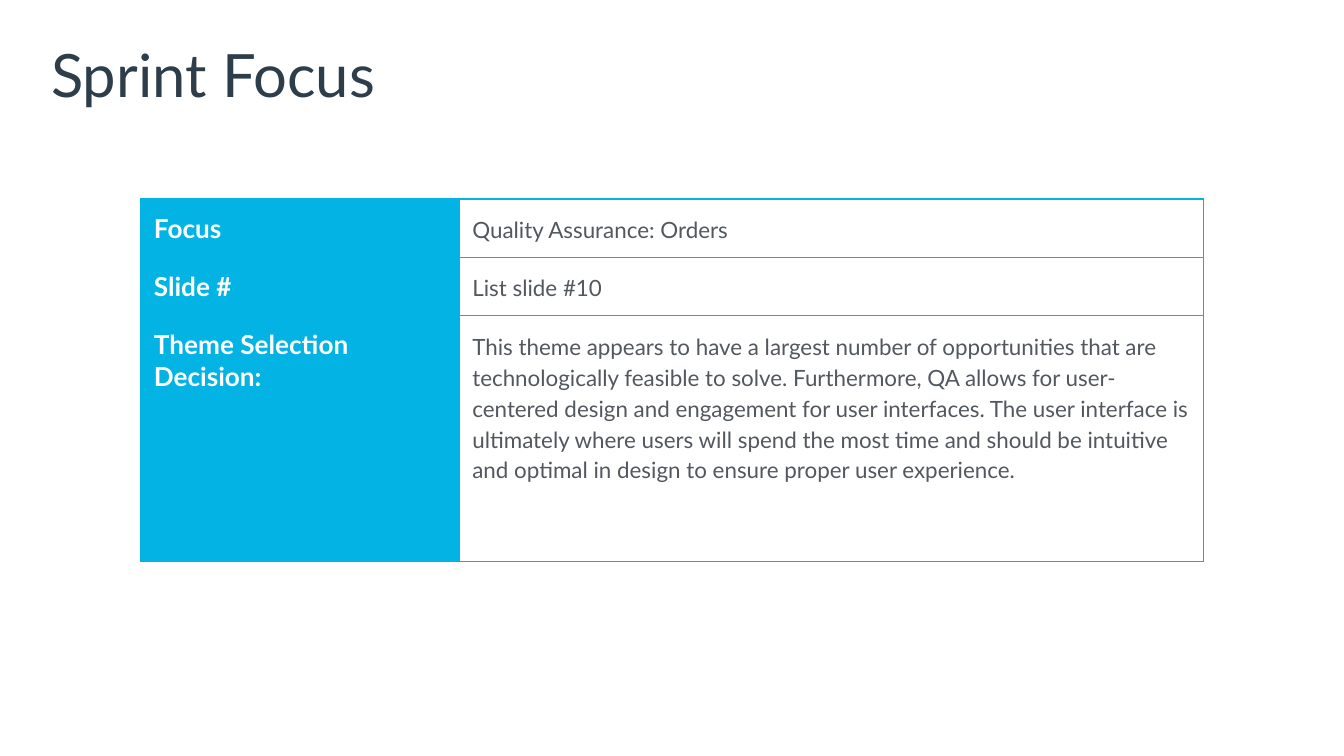
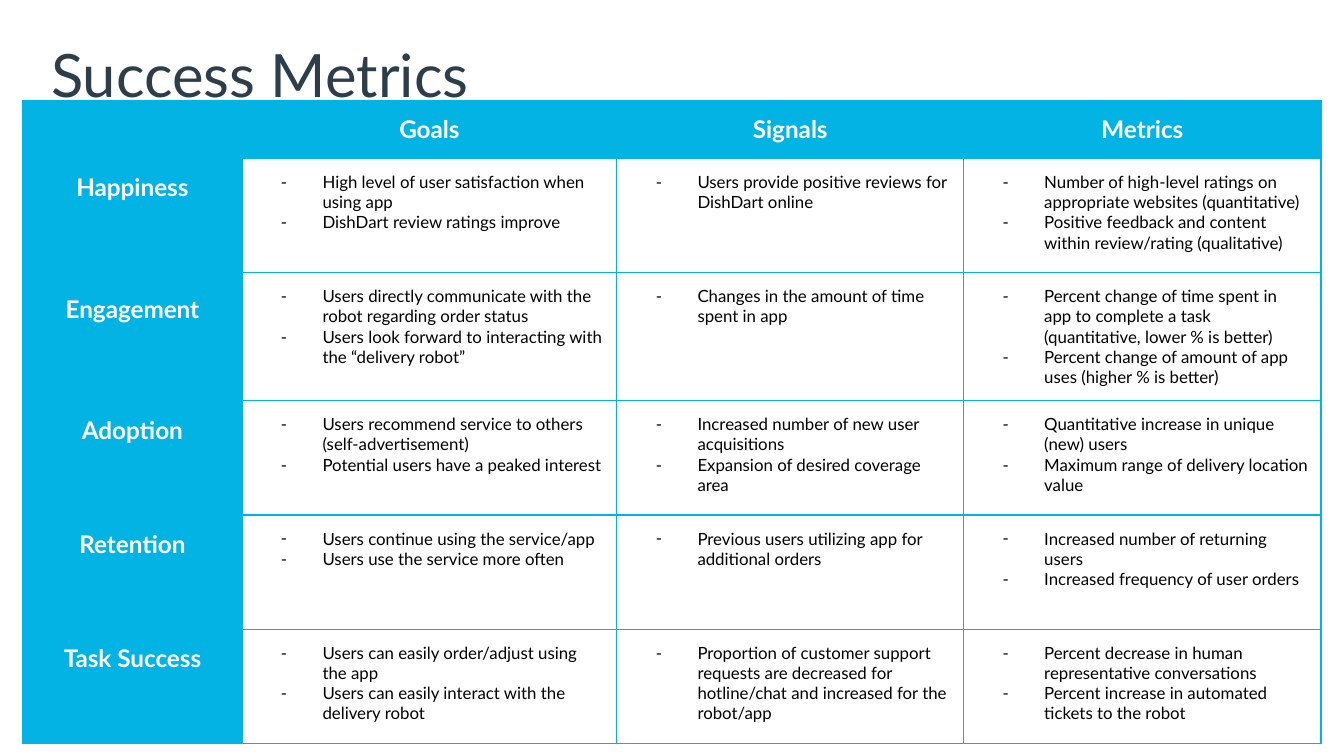
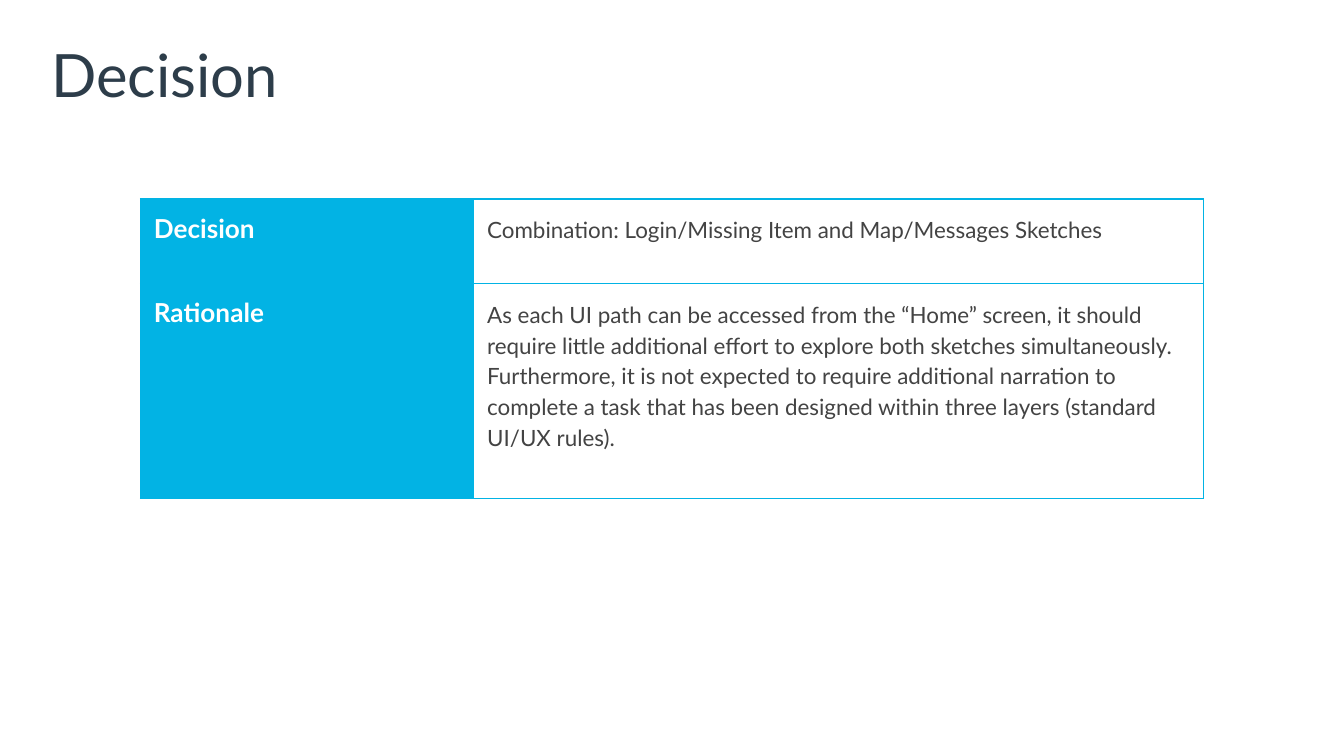
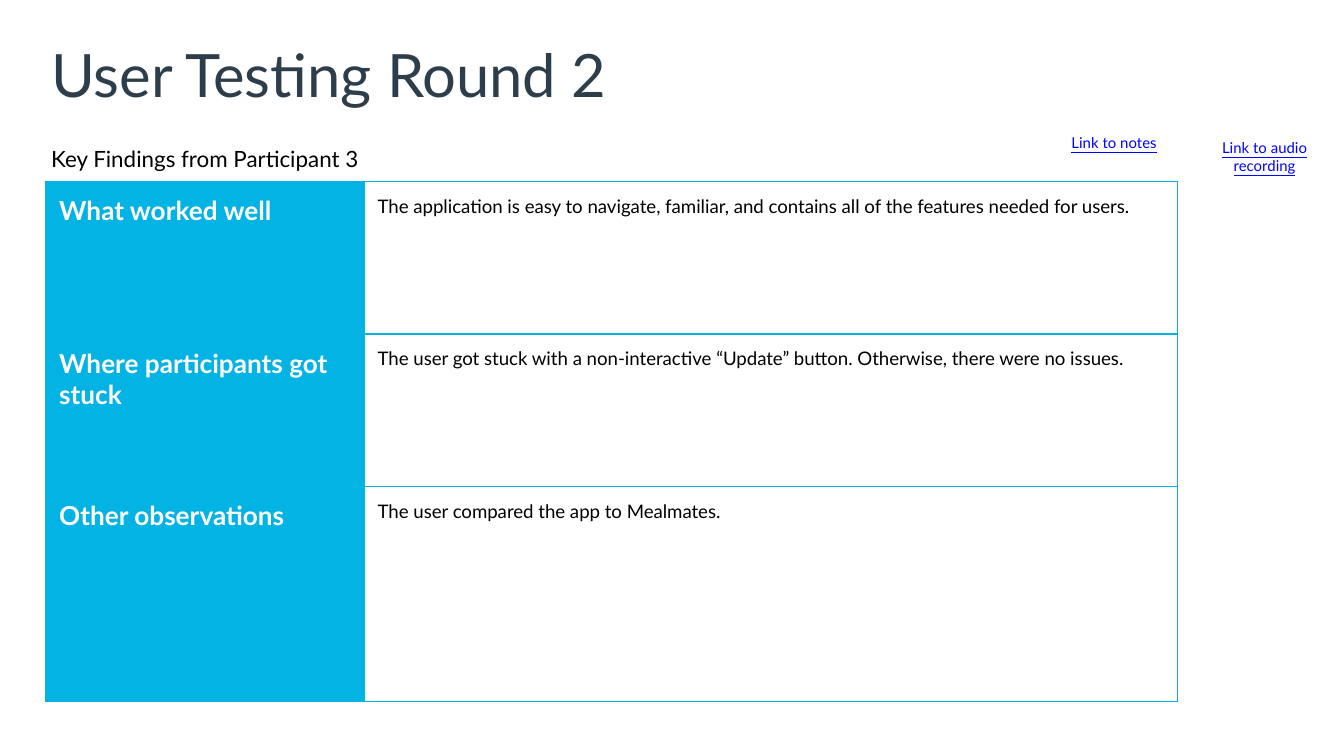
"""Builds four slides of a design sprint report, each with a title and a table."""
from dataclasses import dataclass

import lxml.etree
import pptx
import pptx.dml.color
import pptx.enum.text
import pptx.oxml.ns
import pptx.util

RGBColor = pptx.dml.color.RGBColor
ALIGN = pptx.enum.text.PP_ALIGN
ANCHOR = pptx.enum.text.MSO_ANCHOR
qn = pptx.oxml.ns.qn

WHITE = RGBColor(0xFF, 0xFF, 0xFF)
BLACK = RGBColor(0x00, 0x00, 0x00)
CYAN = RGBColor(0x02, 0xB3, 0xE4)
NAVY = RGBColor(0x2D, 0x3D, 0x4A)
SLATE = RGBColor(0x53, 0x58, 0x5F)
CHARCOAL = RGBColor(0x43, 0x43, 0x43)
LINK_BLUE = RGBColor(0x00, 0x00, 0xFF)

FONT = "Lato"
GRID_COLUMNS, GRID_ROWS = 100, 56.25
UNIT = pptx.util.Inches(0.1)
BORDER = pptx.util.Pt(0.75)
TIGHT, ROOMY = 0.4, 1
LABEL_STYLE = dict(size=14, color=WHITE, bold=True)
HEADING_STYLE = dict(size=13, color=WHITE, bold=True, align=ALIGN.CENTER)
BULLET_STYLE = dict(size=9, bullet="-")
READING_STYLE = dict(size=12, line_spacing=1.15, space_before=7)

FOCUS_ROWS = [
    ("Focus", "Quality Assurance: Orders"),
    ("Slide #", "List slide #10"),
    ("Theme Selection Decision:",
     "This theme appears to have a largest number of opportunities that are "
     "technologically feasible to solve. Furthermore, QA allows for user-centered design "
     "and engagement for user interfaces. The user interface is ultimately where users will "
     "spend the most time and should be intuitive and optimal in design to ensure proper "
     "user experience."),
]
METRIC_HEADINGS = ["", "Goals", "Signals", "Metrics"]
METRIC_ROWS = [
    ("Happiness",
     ["High level of user satisfaction when using app", "DishDart review ratings improve"],
     ["Users provide positive reviews for DishDart online"],
     ["Number of high-level ratings on appropriate websites (quantitative)",
      "Positive feedback and content within review/rating (qualitative)"]),
    ("Engagement",
     ["Users directly communicate with the robot regarding order status",
      "Users look forward to interacting with the “delivery robot”"],
     ["Changes in the amount of time spent in app"],
     ["Percent change of time spent in app to complete a task "
      "(quantitative, lower % is better)",
      "Percent change of amount of app uses (higher % is better)"]),
    ("Adoption",
     ["Users recommend service to others (self-advertisement)",
      "Potential users have a peaked interest"],
     ["Increased number of new user acquisitions", "Expansion of desired coverage area"],
     ["Quantitative increase in unique (new) users",
      "Maximum range of delivery location value"]),
    ("Retention",
     ["Users continue using the service/app", "Users use the service more often"],
     ["Previous users utilizing app for additional orders"],
     ["Increased number of returning users", "Increased frequency of user orders"]),
    ("Task Success",
     ["Users can easily order/adjust using the app",
      "Users can easily interact with the delivery robot"],
     ["Proportion of customer support requests are decreased for hotline/chat and "
      "increased for the robot/app"],
     ["Percent decrease in human representative conversations",
      "Percent increase in automated tickets to the robot"]),
]
DECISION_ROWS = [
    ("Decision", "Combination: Login/Missing Item and Map/Messages Sketches"),
    ("Rationale",
     "As each UI path can be accessed from the “Home” screen, it should require little "
     "additional effort to explore both sketches simultaneously. Furthermore, it is not "
     "expected to require additional narration to complete a task that has been designed "
     "within three layers (standard UI/UX rules)."),
]
FINDING_ROWS = [
    ("What worked well",
     "The application is easy to navigate, familiar, and contains all of the features "
     "needed for users."),
    ("Where participants got stuck",
     "The user got stuck with a non-interactive “Update” button. Otherwise, there were "
     "no issues."),
    ("Other observations", "The user compared the app to Mealmates."),
]


@dataclass
class Box:
    """A region in grid columns and rows."""
    left: float
    top: float
    width: float
    height: float


TITLE_BOX = Box(3.4, 2.4, 93.2, 6.3)
CARD_COLUMNS = 79.1


def grid(count):
    """Turn grid columns or rows into a length."""
    return pptx.util.Emu(round(count * UNIT))


def set_margins(holder, margin):
    """Give a text frame or cell the same margin on all sides."""
    for side in ("left", "top", "right", "bottom"):
        setattr(holder, f"margin_{side}", grid(margin))


def write_text(frame, text, size=12, color=BLACK, bold=False, underline=False,
               align=ALIGN.LEFT, line_spacing=None, space_before=None, bullet=None):
    """Fill a text frame with one paragraph, or with one for each item of a list."""
    for index, line in enumerate([text] if isinstance(text, str) else text):
        para = frame.add_paragraph() if index else frame.paragraphs[0]
        para.alignment = align
        if line_spacing:
            para.line_spacing = line_spacing
        if space_before:
            para.space_before = pptx.util.Pt(space_before)
        if bullet:
            add_bullet(para, bullet)
        if not line:
            lxml.etree.SubElement(para._p, qn("a:endParaRPr"), sz=str(size * 100))
            continue
        span = para.add_run()
        span.text = line
        span.font.name = FONT
        span.font.size = pptx.util.Pt(size)
        span.font.color.rgb = color
        span.font.bold = bold
        span.font.underline = underline


def add_bullet(para, mark):
    """Give a paragraph a hanging bullet."""
    properties = para._p.get_or_add_pPr()
    properties.set("marL", str(grid(5)))
    properties.set("indent", str(grid(-3.1)))
    tint = lxml.etree.SubElement(properties, qn("a:buClr"))
    lxml.etree.SubElement(tint, qn("a:srgbClr"), val=str(BLACK))
    lxml.etree.SubElement(properties, qn("a:buFont"), typeface=FONT)
    lxml.etree.SubElement(properties, qn("a:buChar"), char=mark)


def add_text(page, box, text, margin=TIGHT, **style):
    """Place a wrapped text box."""
    shape = page.shapes.add_textbox(*map(grid, (box.left, box.top, box.width, box.height)))
    shape.text_frame.word_wrap = True
    set_margins(shape.text_frame, margin)
    write_text(shape.text_frame, text, **style)


def add_borders(cell):
    """Draw the four cyan borders of a cell."""
    properties = cell._tc.get_or_add_tcPr()
    for index, side in enumerate(("lnL", "lnR", "lnT", "lnB")):
        line = lxml.etree.Element(qn(f"a:{side}"), w=str(BORDER))
        fill = lxml.etree.SubElement(line, qn("a:solidFill"))
        lxml.etree.SubElement(fill, qn("a:srgbClr"), val=str(CYAN))
        properties.insert(index, line)


def fill_cell(cell, text, filled, **style):
    """Write one cell and set its fill and borders."""
    set_margins(cell, ROOMY)
    if filled:
        cell.fill.solid()
        cell.fill.fore_color.rgb = CYAN
    else:
        cell.fill.background()
    add_borders(cell)
    write_text(cell.text_frame, text, **style)


def add_grid_table(page, left, top, columns, rows):
    """Add a plain table with the given column widths and row heights."""
    table = page.shapes.add_table(
        len(rows), len(columns), *map(grid, (left, top, sum(columns), sum(rows)))).table
    table.first_row = table.horz_banding = False
    for column, width in zip(table.columns, columns):
        column.width = grid(width)
    for row, height in zip(table.rows, rows):
        row.height = grid(height)
    return table


def add_label_table(page, box, label_width, heights, rows, **style):
    """Add a table of labels on cyan beside their texts."""
    columns = [label_width, box.width - label_width]
    table = add_grid_table(page, box.left, box.top, columns, heights)
    for index, (label, text) in enumerate(rows):
        fill_cell(table.cell(index, 0), label, True, **LABEL_STYLE)
        fill_cell(table.cell(index, 1), text, False, **style)


def add_metrics_table(page, box):
    """Add the table of goals, signals and metrics."""
    heights = [4.3, 8.5, 9.5, 8.5, 8.5, 8.5]
    table = add_grid_table(page, box.left, box.top, [16.3, 27.9, 25.8, 26.6], heights)
    for column, heading in enumerate(METRIC_HEADINGS):
        fill_cell(table.cell(0, column), heading, True, **HEADING_STYLE)
    for index, (label, *lists) in enumerate(METRIC_ROWS, 1):
        label_cell = table.cell(index, 0)
        fill_cell(label_cell, label, True, **HEADING_STYLE)
        label_cell.vertical_anchor = ANCHOR.MIDDLE
        label_cell.margin_bottom = grid(5.2)
        for column, items in enumerate(lists, 1):
            fill_cell(table.cell(index, column), items, False, **BULLET_STYLE)


def add_page(deck, title):
    """Add a blank white slide with its title."""
    page = deck.slides.add_slide(deck.slide_layouts[6])
    page.background.fill.solid()
    page.background.fill.fore_color.rgb = WHITE
    add_text(page, TITLE_BOX, title, size=32, color=NAVY)
    return page


def build_card_page(deck, title, label_width, heights, rows, color):
    """Build a slide with a centred label table."""
    page = add_page(deck, title)
    box = Box((GRID_COLUMNS - CARD_COLUMNS) / 2, 14.8, CARD_COLUMNS, sum(heights))
    add_label_table(page, box, label_width, heights, rows, color=color, **READING_STYLE)


def build_metrics_page(deck):
    """Build the success metrics slide."""
    add_metrics_table(add_page(deck, "Success Metrics"), Box(1.7, 7.5, 96.6, 47.8))


def build_testing_page(deck):
    """Build the user testing slide."""
    page = add_page(deck, "User Testing Round 2")
    for index, label in enumerate(("Link to notes", "Link to audio recording")):
        add_text(page, Box(77.4 + 11.2 * index, 9.3, 11, 4.8), label, margin=ROOMY,
                 size=8, color=LINK_BLUE, underline=True, align=ALIGN.CENTER)
    add_text(page, Box(3.4, 10.1, 64.3, 3.4), "Key Findings from Participant 3",
             **READING_STYLE)
    add_label_table(page, Box(3.4, 13.5, 84.2, 38.7), 23.7, [11.35, 11.35, 16],
                    FINDING_ROWS, size=10)


def main():
    """Build and save the deck."""
    deck = pptx.Presentation()
    deck.slide_width, deck.slide_height = grid(GRID_COLUMNS), grid(GRID_ROWS)
    build_card_page(deck, "Sprint Focus", 23.7, [4.35, 4.35, 18.3], FOCUS_ROWS, SLATE)
    build_metrics_page(deck)
    build_card_page(deck, "Decision", 24.8, [6.3, 16], DECISION_ROWS, CHARCOAL)
    build_testing_page(deck)
    deck.save("out.pptx")


if __name__ == "__main__":
    main()
